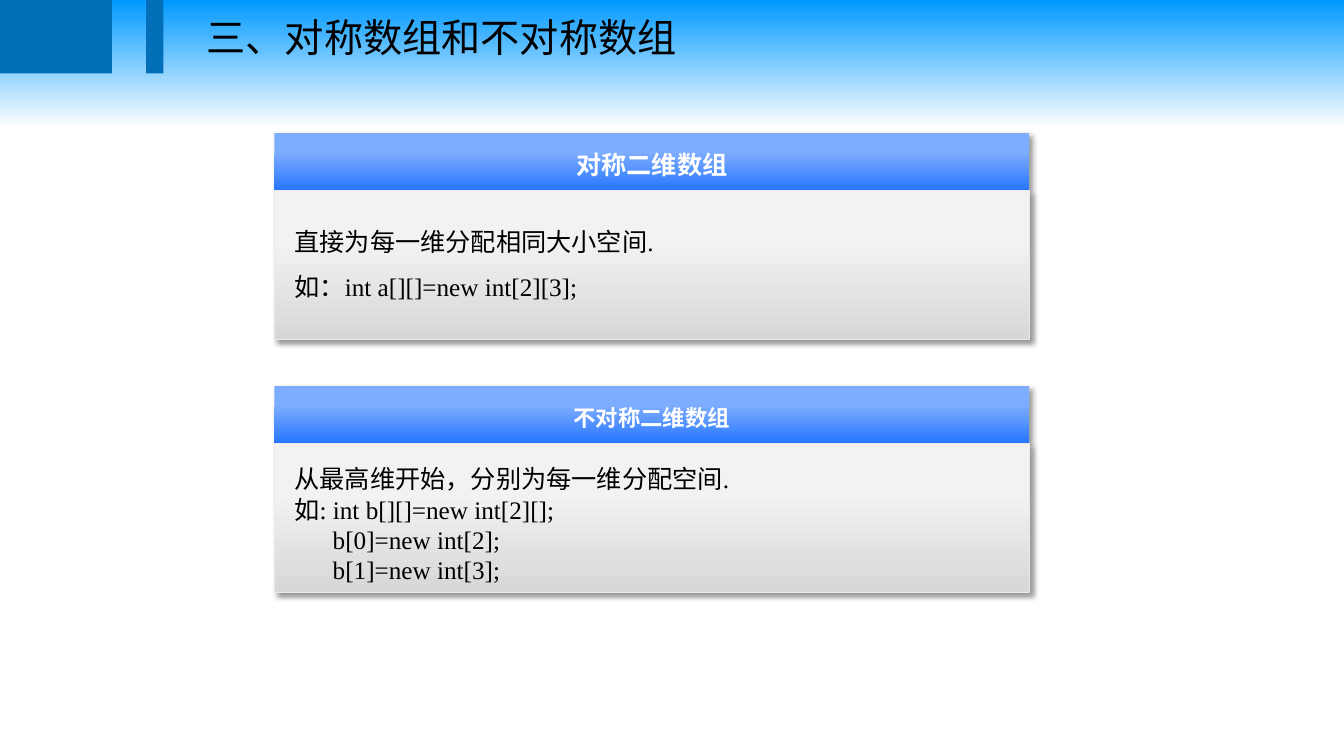
from lxml import etree
from pptx import Presentation, util as u
from pptx.dml.color import RGBColor
from pptx.enum import shapes, text
from pptx.oxml import ns

TITLE = "三、对称数组和不对称数组"
CARDS = [
    dict(heading="对称二维数组", heading_size=18, spacing=1.5,
         lines=[("直接为每一维分配相同大小空间.", 0), ("如：int a[][]=new int[2][3];", 0)]),
    dict(heading="不对称二维数组", heading_size=16, spacing=1.0,
         lines=[("从最高维开始，分别为每一维分配空间.", 0), ("如: int b[][]=new int[2][];", 0),
                ("b[0]=new int[2];", 0.38), ("b[1]=new int[3];", 0.38)]),
]

BLACK = RGBColor(0x00, 0x00, 0x00)
WHITE = RGBColor(0xFF, 0xFF, 0xFF)
BRAND_BLUE = RGBColor(0x03, 0x6E, 0xB8)
BORDER = RGBColor(0xEA, 0xEA, 0xEA)
SKY = [(0, RGBColor(0x00, 0x99, 0xFF)), (0.17, WHITE)]
HEADING_BLUE = [(0.33, RGBColor(0x7D, 0xAD, 0xFF)), (1, RGBColor(0x26, 0x76, 0xFF))]
BODY_GREY = [(0.33, RGBColor(0xF2, 0xF2, 0xF2)), (1, RGBColor(0xD7, 0xD7, 0xD7))]

CJK_FONT = "Noto Sans CJK JP"
BAND_HEIGHT = 0.73
BAND_BLOCKS = [(0, 1.11), (1.45, 0.17)]
CARD_LEFT, CARD_TOP, CARD_WIDTH, CARD_PITCH = 2.72, 1.32, 7.49, 2.51
HEADING_HEIGHT, BODY_HEIGHT = 0.57, 1.48


def fade(fill, stops):
    fill.gradient()
    fill.gradient_angle = 270
    for stop, (position, color) in zip(fill.gradient_stops, stops):
        stop.position = position
        stop.color.rgb = color


def cast_shadow(panel):
    effects = panel._element.spPr.find(ns.qn("a:effectLst"))
    shadow = etree.SubElement(effects, ns.qn("a:outerShdw"), blurRad=str(u.Pt(4)),
                              dist=str(u.Pt(3)), dir="2700000", algn="tl", rotWithShape="0")
    color = etree.SubElement(shadow, ns.qn("a:srgbClr"), val="000000")
    etree.SubElement(color, ns.qn("a:alpha"), val="40000")


def add_block(left, top, width, height, color=None, stops=None, border=None):
    block = slide.shapes.add_shape(shapes.MSO_SHAPE.RECTANGLE, *map(u.Inches, (left, top, width, height)))
    block.shadow.inherit = False
    if stops:
        fade(block.fill, stops)
        cast_shadow(block)
    else:
        block.fill.solid()
        block.fill.fore_color.rgb = color
    if border:
        block.line.color.rgb = border
        block.line.width = u.Pt(0.25)
    else:
        block.line.fill.background()
    return block


def write(holder, lines, size=18, font="Times New Roman", color=BLACK, bold=False,
          align=text.PP_ALIGN.LEFT, anchor=text.MSO_ANCHOR.TOP, spacing=1.0,
          margins=(0.1, 0.05, 0.1, 0.05)):
    frame = holder.text_frame
    frame.word_wrap = True
    frame.auto_size = text.MSO_AUTO_SIZE.NONE
    frame.vertical_anchor = anchor
    frame.margin_left, frame.margin_top, frame.margin_right, frame.margin_bottom = map(u.Inches, margins)
    for index, (words, indent) in enumerate(lines):
        paragraph = frame.add_paragraph() if index else frame.paragraphs[0]
        paragraph.alignment = align
        paragraph.line_spacing = spacing
        if indent:
            paragraph._p.get_or_add_pPr().set("marL", str(u.Inches(indent)))
        run = paragraph.add_run()
        run.text = words
        run.font.size = u.Pt(size)
        run.font.bold = bold
        run.font.color.rgb = color
        run.font.name = font
        latin = run._r.rPr.find(ns.qn("a:latin"))
        latin.addnext(etree.Element(ns.qn("a:ea"), typeface=CJK_FONT))


deck = Presentation()
deck.slide_width, deck.slide_height = u.Inches(13.33), u.Inches(7.5)
slide = deck.slides.add_slide(deck.slide_layouts[5])
fade(slide.background.fill, SKY)

for left, width in BAND_BLOCKS:
    add_block(left, 0, width, BAND_HEIGHT, color=BRAND_BLUE)

title = slide.shapes.title
title.left, title.top, title.width, title.height = map(u.Inches, (1.95, 0.08, 5.77, 0.57))
write(title, [(TITLE, 0)], size=28, font=CJK_FONT)

for row, card in enumerate(CARDS):
    top = CARD_TOP + row * CARD_PITCH
    heading = add_block(CARD_LEFT, top, CARD_WIDTH, HEADING_HEIGHT, stops=HEADING_BLUE)
    write(heading, [(card["heading"], 0)], size=card["heading_size"], font="Arial Narrow",
          color=WHITE, bold=True, align=text.PP_ALIGN.CENTER, anchor=text.MSO_ANCHOR.MIDDLE,
          spacing=1.2, margins=(0, 0.05, 0, 0.05))
    body = add_block(CARD_LEFT, top + HEADING_HEIGHT, CARD_WIDTH, BODY_HEIGHT,
                     stops=BODY_GREY, border=BORDER)
    write(body, card["lines"], spacing=card["spacing"], margins=(0.2, 0.2, 0.2, 0.05))

deck.save("out.pptx")
